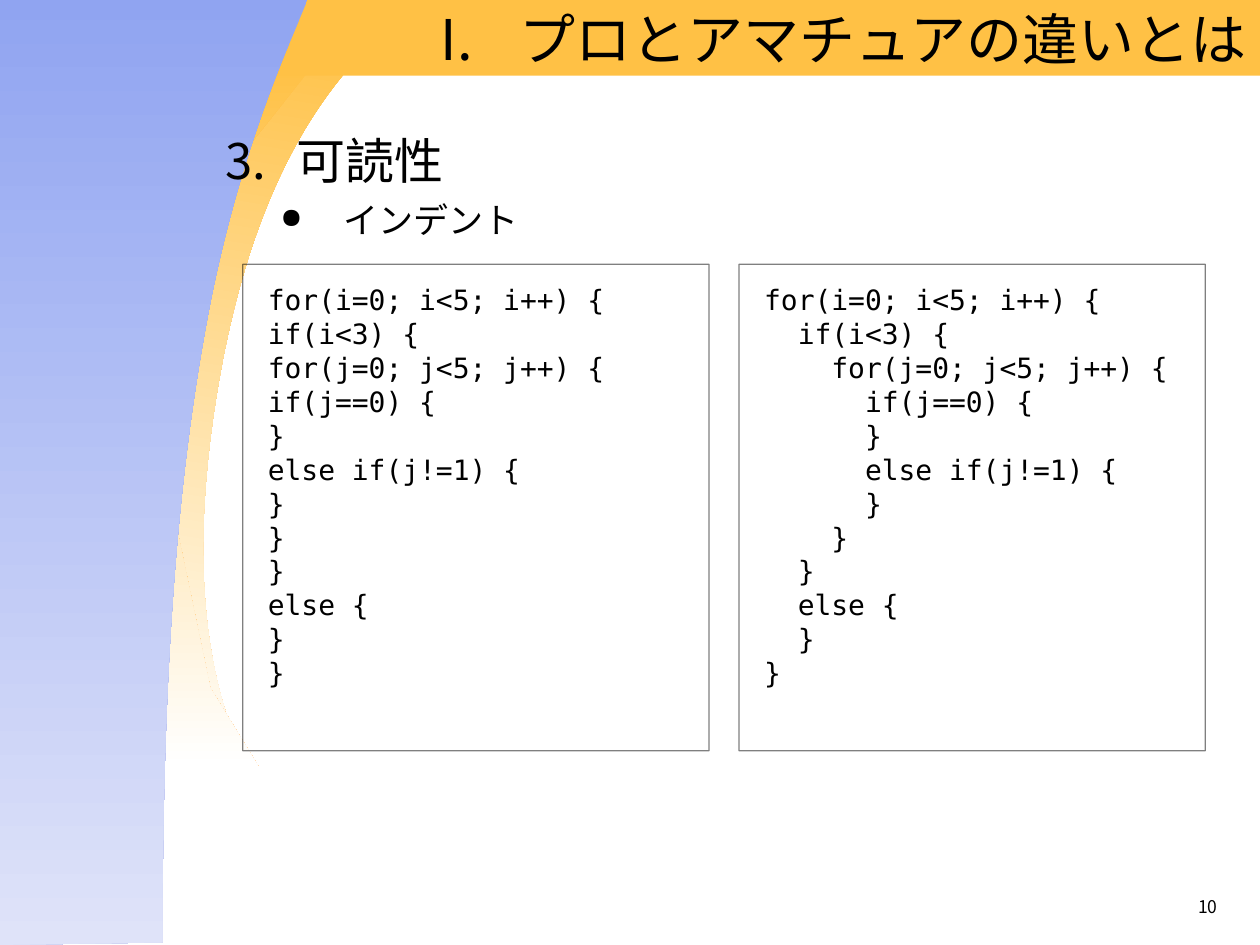
from math import cos, radians, sin

from lxml.etree import SubElement
from pptx import Presentation
from pptx.dml.color import RGBColor
from pptx.enum.shapes import MSO_SHAPE
from pptx.enum.text import MSO_ANCHOR, MSO_AUTO_SIZE, PP_ALIGN
from pptx.oxml.ns import qn
from pptx.util import Pt

CODE = """for(i=0; i<5; i++) {
  if(i<3) {
    for(j=0; j<5; j++) {
      if(j==0) {
      }
      else if(j!=1) {
      }
    }
  }
  else {
  }
}""".split("\n")


def color(value):
    return RGBColor.from_string(value)


def turn(point, center, degrees):
    a = radians(degrees)
    dx, dy = (p - c for p, c in zip(point, center))
    return (center[0] + dx * cos(a) - dy * sin(a),
            center[1] + dx * sin(a) + dy * cos(a))


class Deck:
    sans = "Noto Sans CJK JP"
    mono = "DejaVu Sans Mono"
    black = "000000"
    gold = "FFC145"

    def __init__(self, prs):
        self.s = prs.slides.add_slide(prs.slide_layouts[5])

    def freeform(self, start, segments, top, bottom, rotation=0):
        ends = [(Pt(x), Pt(y)) for x, y in (seg[-1] for seg in segments)]
        builder = self.s.shapes.build_freeform(Pt(start[0]), Pt(start[1]), scale=1.0)
        builder.add_line_segments(ends, close=True)
        sp = builder.convert_to_shape()
        for line, seg in zip(list(sp.element.iter(qn("a:lnTo"))), segments):
            if len(seg) == 3:
                line.tag = qn("a:cubicBezTo")
                line.clear()
                for x, y in seg:
                    SubElement(line, qn("a:pt"), {"x": str(Pt(x) - sp.left),
                                                  "y": str(Pt(y) - sp.top)})
        sp.rotation = rotation
        sp.shadow.inherit = False
        sp.line.fill.background()
        sp.fill.gradient()
        sp.fill.gradient_angle = 270
        for stop, value in zip(sp.fill.gradient_stops, (top, bottom)):
            stop.color.rgb = color(value)

    def rect(self, box):
        sp = self.s.shapes.add_shape(MSO_SHAPE.RECTANGLE, *map(Pt, box))
        sp.shadow.inherit = False
        return sp

    def band(self, box):
        sp = self.rect(box)
        sp.fill.solid()
        sp.fill.fore_color.rgb = color(self.gold)
        sp.line.fill.background()

    def paragraph(self, p, text, size, font, indent=None, bullet=(), **fmt):
        pPr = p._p.get_or_add_pPr()
        if indent:
            pPr.set("marL", str(Pt(indent[0])))
            pPr.set("indent", str(Pt(indent[1])))
        for name, value in fmt.items():
            setattr(p, name, value)
        for tag, attrs in bullet:
            SubElement(pPr, qn("a:" + tag), attrs)
        r = p.add_run()
        r.text = text
        for name, value in {"size": Pt(size), "name": font}.items():
            setattr(r.font, name, value)
        r.font.color.rgb = color(self.black)
        SubElement(r._r.get_or_add_rPr(), qn("a:ea"), {"typeface": font})

    def frame(self, sp, anchor=MSO_ANCHOR.TOP, **fmt):
        tf = sp.text_frame
        fmt = {"word_wrap": True, "auto_size": MSO_AUTO_SIZE.NONE,
               "vertical_anchor": anchor, **fmt}
        for name, value in fmt.items():
            setattr(tf, name, value)
        return tf

    def title(self, box, text):
        sp = self.s.shapes.title
        sp.element.getparent().append(sp.element)
        for name, value in zip(("left", "top", "width", "height"), box):
            setattr(sp, name, Pt(value))
        tf = self.frame(sp, MSO_ANCHOR.MIDDLE)
        self.paragraph(tf.paragraphs[0], text, 32, self.sans, (45, -45),
                       [("buAutoNum", {"type": "romanUcPeriod"})],
                       alignment=PP_ALIGN.RIGHT)

    def text(self, box, *items):
        tf = self.frame(self.s.shapes.add_textbox(*map(Pt, box)))
        for i, item in enumerate(items):
            p = tf.add_paragraph() if i else tf.paragraphs[0]
            self.paragraph(p, font=self.sans, **item)

    def code(self, box, lines):
        sp = self.rect(box)
        sp.fill.background()
        sp.line.width = Pt(0.75)
        sp.line.color.rgb = color(self.black)
        rgb = sp.line._ln.find(".//" + qn("a:srgbClr"))
        SubElement(rgb, qn("a:alpha"), {"val": "50000"})
        margins = {f"margin_{side}": Pt(14.4) for side in ("left", "top", "right", "bottom")}
        tf = self.frame(sp, **margins)
        for i, line in enumerate(lines):
            p = tf.add_paragraph() if i else tf.paragraphs[0]
            self.paragraph(p, line, 16, self.mono, (27, -27), alignment=PP_ALIGN.LEFT,
                           line_spacing=0.8, space_before=Pt(4 if i else 0))


def main():
    prs = Presentation()
    prs.slide_width, prs.slide_height = Pt(720), Pt(540)
    deck = Deck(prs)

    tilt, center = 9.3, (123.8, 225)
    crescent = [
        [(175.7, 64.1), (141.1, 118.8), (123.8, 225.4)],
        [(106.6, 331.9), (121, 394.6), (139.7, 434.9)],
        [(85.7, 425.5), (56.9, 327.6), (74.9, 217.4)],
        [(92.9, 106.6), (151.9, 23), (205.9, 31.7)]]
    upright = [[turn(pt, center, -tilt) for pt in seg] for seg in crescent]
    wedge = [(0, 437.8), (0, 36), (180, 36), (108.7, 125.3),
             (97.9, 286.6), (120.2, 393.1)]
    panel = [
        [(166.3, 23.8), (139.7, 78.5), (121, 169.2)],
        [(103, 259.9), (92.9, 367.2), (92.9, 538.6)],
        [(0, 540)], [(0, -2.2)]]
    deck.freeform(upright[-1][-1], upright, deck.gold, "FFFFFF", tilt)
    deck.freeform((147.6, 437.8), [[pt] for pt in wedge], deck.gold, "FFFFFF")
    deck.band((0, -0.7, 720, 43.9))
    deck.freeform((175.7, 0), panel, "90A4F1", "DFE3F9")

    deck.title((167, 0, 553, 43.2), "プロとアマチュアの違いとは")
    deck.text((121.7, 71.3, 589.7, 85),
              dict(text="可読性", size=28, indent=(40.5, -40.5),
                   bullet=[("buAutoNum", {"type": "arabicPeriod", "startAt": "3"})]),
              dict(text="インデント", size=20, indent=(67.5, -36), level=1,
                   space_before=Pt(5),
                   bullet=[("buSzPct", {"val": "80000"}), ("buChar", {"char": "●"})]))
    deck.text((575.5, 508.3, 127.4, 20.9),
              dict(text="10", size=10, alignment=PP_ALIGN.RIGHT))
    for left, lines in ((138.7, [line.strip() for line in CODE]), (422.3, CODE)):
        deck.code((left, 151, 266.5, 278), lines)
    prs.save("out.pptx")


if __name__ == "__main__":
    main()
